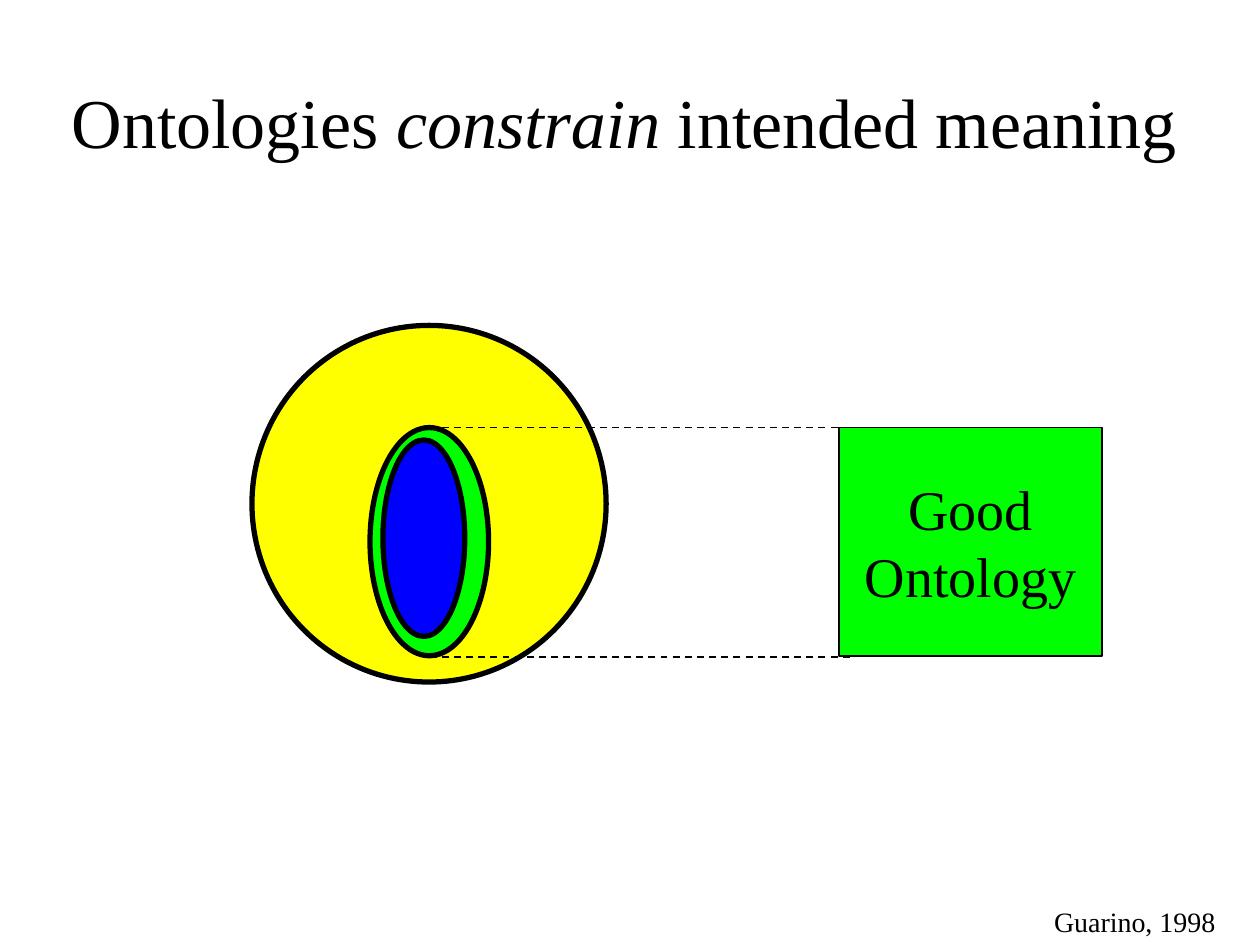
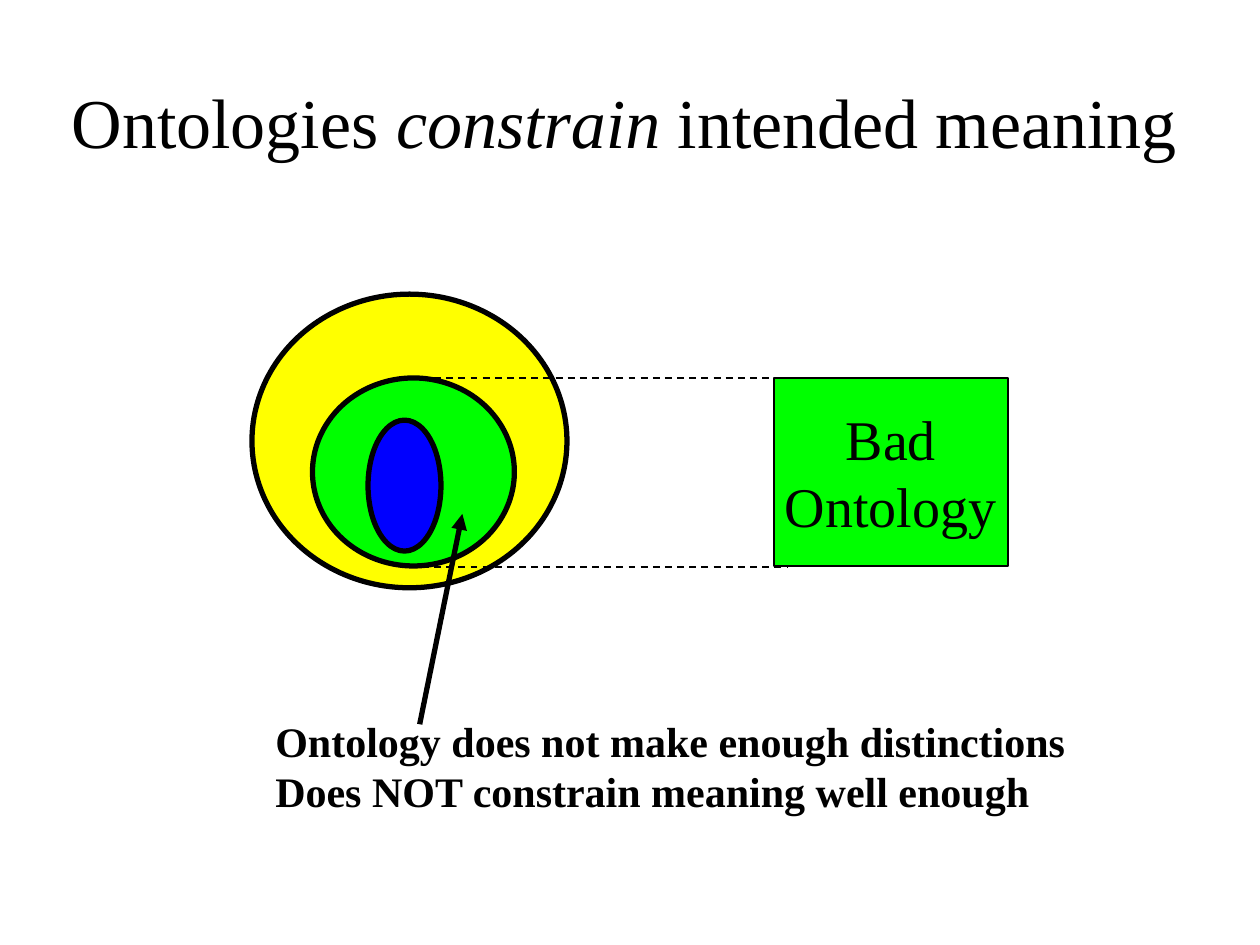
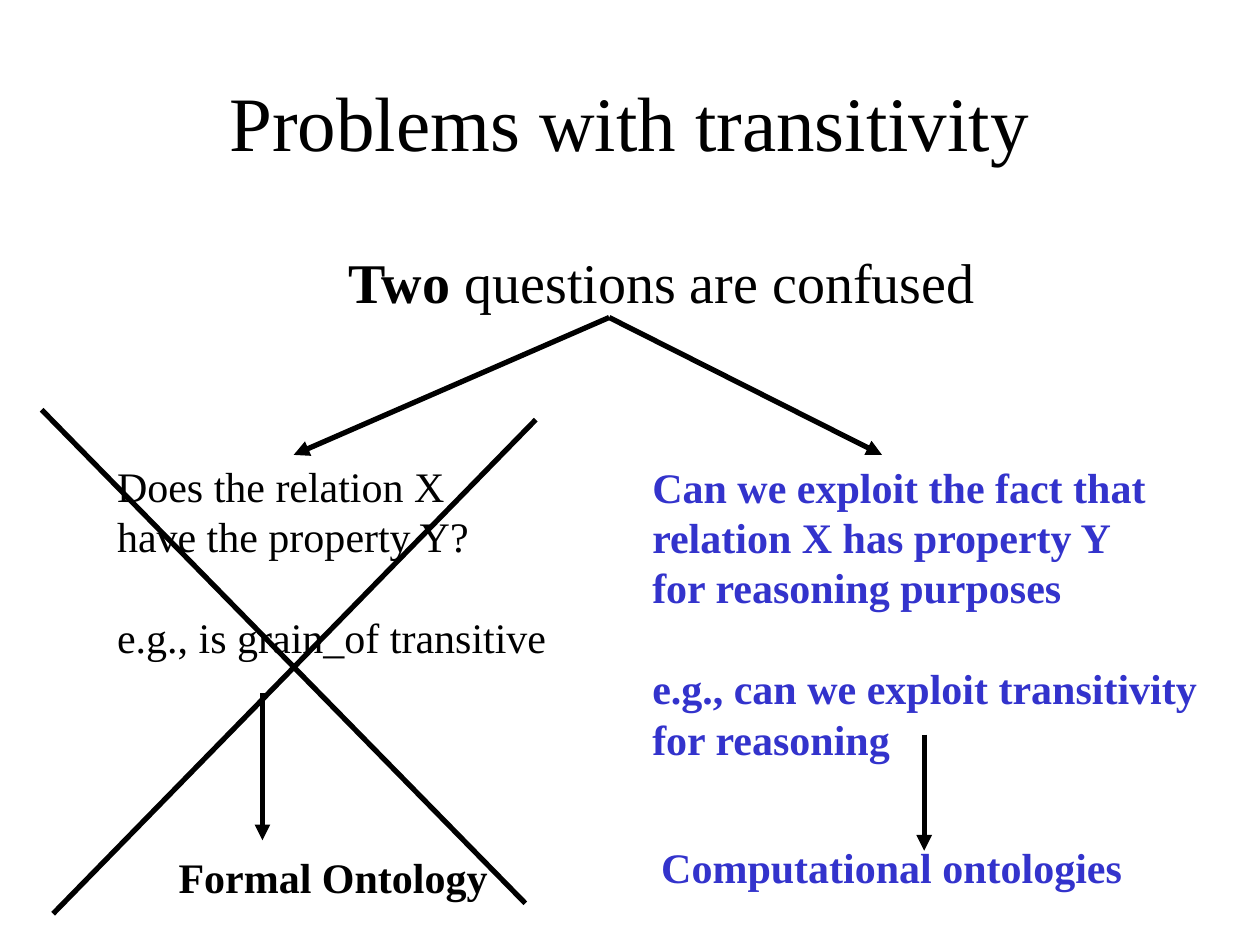
"""Build three slides on ontologies, intended meaning and transitivity."""
from pptx import Presentation
from pptx.dml.color import RGBColor
from pptx.enum.dml import MSO_LINE
from pptx.enum.shapes import MSO_CONNECTOR, MSO_SHAPE
from pptx.enum.text import MSO_ANCHOR, MSO_AUTO_SIZE, PP_ALIGN
from pptx.oxml.ns import qn
from pptx.util import Cm, Pt
from lxml.etree import SubElement

FONT = "Times New Roman"
BLACK, YELLOW, GREEN, BLUE, INDIGO = "000000", "FFFF00", "00FF00", "0000FF", "3333CC"
TITLE_ONLY = 5
BODY_SIZE = 24
LINE_GAP = 28.8
MEANING_TITLE = ("Ontologies ", "constrain", " intended meaning")


def rgb(value):
    return RGBColor.from_string(value)


def place(box):
    return [Cm(v) for v in box]


def format_paragraph(p, size, color=BLACK, bold=None, align=PP_ALIGN.LEFT):
    p.alignment = align
    p.font.name = FONT
    p.font.size = Pt(size)
    p.font.bold = bold
    p.font.color.rgb = rgb(color)


def add_runs(p, pieces):
    runs = []
    for piece in pieces:
        r = p.add_run()
        r.text = piece
        runs.append(r)
    return runs


def add_titled_slide(prs, pieces, size, left, width):
    s = prs.slides.add_slide(prs.slide_layouts[TITLE_ONLY])
    title = s.shapes.title
    title.left, title.top, title.width, title.height = place((left, 0.84, width, 3.18))
    tf = title.text_frame
    tf.auto_size = MSO_AUTO_SIZE.NONE
    tf.vertical_anchor = MSO_ANCHOR.MIDDLE
    p = tf.paragraphs[0]
    format_paragraph(p, size, align=PP_ALIGN.CENTER)
    return s, add_runs(p, pieces)


def add_text(s, box, lines, size=BODY_SIZE, color=BLACK, bold=None, gap_at=None):
    tf = s.shapes.add_textbox(*place(box)).text_frame
    tf.word_wrap = False
    tf.auto_size = MSO_AUTO_SIZE.SHAPE_TO_FIT_TEXT
    tf.text = "\n".join(lines)
    for i, p in enumerate(tf.paragraphs):
        format_paragraph(p, size, color, bold)
        if i == gap_at:
            p.space_before = Pt(LINE_GAP)
    return tf


def add_outlined(s, kind, box, fill, weight):
    sp = s.shapes.add_shape(kind, *place(box))
    sp.shadow.inherit = False
    sp.fill.solid()
    sp.fill.fore_color.rgb = rgb(fill)
    sp.line.color.rgb = rgb(BLACK)
    sp.line.width = Pt(weight)
    return sp


def add_line(s, start, end, weight=3, dashed=False, arrow=False):
    line = s.shapes.add_connector(MSO_CONNECTOR.STRAIGHT, *place(start + end))
    line.line.color.rgb = rgb(BLACK)
    line.line.width = Pt(weight)
    if dashed:
        line.line.dash_style = MSO_LINE.DASH
    sp_pr = line._element.spPr
    if arrow:
        SubElement(sp_pr.find(qn("a:ln")), qn("a:tailEnd"), type="triangle")
    SubElement(sp_pr, qn("a:effectLst"))


def add_meaning_slide(prs, domain, ontology, intended, guide_x, guide_y, box, label):
    s, runs = add_titled_slide(prs, MEANING_TITLE, 40, 0.2, 24.77)
    runs[1].font.italic = True
    for oval, fill in ((domain, YELLOW), (ontology, GREEN), (intended, BLUE)):
        add_outlined(s, MSO_SHAPE.OVAL, oval, fill, 3)
    for y in guide_y:
        add_line(s, (guide_x[0], y), (guide_x[1], y), weight=1, dashed=True)
    tf = add_outlined(s, MSO_SHAPE.RECTANGLE, box, GREEN, 1).text_frame
    tf.word_wrap = False
    tf.vertical_anchor = MSO_ANCHOR.MIDDLE
    tf.text = f"{label}\nOntology"
    for p in tf.paragraphs:
        format_paragraph(p, 32, align=PP_ALIGN.CENTER)
    return s


def add_good_ontology(prs):
    s = add_meaning_slide(
        prs,
        domain=(5.08, 6.56, 7.14, 7.19),
        ontology=(7.46, 8.62, 2.39, 4.6),
        intended=(7.72, 8.87, 1.65, 3.96),
        guide_x=(8.66, 17.22), guide_y=(8.62, 13.25),
        box=(16.91, 8.62, 5.31, 4.6), label="Good")
    add_text(s, (21, 18.12, 3.86, 0.94), ["Guarino, 1998"], size=16)


def add_bad_ontology(prs):
    s = add_meaning_slide(
        prs,
        domain=(5.08, 5.93, 6.35, 5.92),
        ontology=(6.3, 7.62, 4.07, 3.79),
        intended=(7.42, 8.47, 1.47, 2.64),
        guide_x=(8.26, 15.88), guide_y=(7.62, 11.43),
        box=(15.6, 7.62, 4.72, 3.79), label="Bad")
    add_text(s, (5.3, 14.3, 16.53, 2.29),
             ["Ontology does not make enough distinctions",
              "Does NOT constrain meaning well enough"], bold=True)
    add_line(s, (8.46, 14.6), (9.32, 10.36), arrow=True)


def add_transitivity(prs):
    s, _ = add_titled_slide(prs, ["Problems with transitivity"], 44, 1.9, 21.59)
    tf = add_text(s, (6.78, 4.87, 13.21, 1.63), [""], size=32)
    two, _ = add_runs(tf.paragraphs[0], ("Two", " questions are confused"))
    two.font.bold = True

    add_text(s, (2.11, 9.16, 9.3, 4.32),
             ["Does the relation X", "have the property Y?",
              "e.g., is grain_of transitive"], gap_at=2)
    add_text(s, (12.9, 9.17, 11.6, 6.35),
             ["Can we exploit the fact that", "relation X has property Y",
              "for reasoning purposes", "e.g., can we exploit transitivity",
              "for reasoning"], color=INDIGO, bold=True, gap_at=3)
    add_text(s, (3.35, 17.05, 6.9, 1.27), ["Formal Ontology"], bold=True)
    add_text(s, (13.08, 16.84, 9.9, 1.27), ["Computational ontologies"],
             color=INDIGO, bold=True)

    fork = (12.28, 6.4)
    for start, end in ((fork, (5.92, 9.17)), (fork, (17.78, 9.17)),
                       ((5.29, 13.97), (5.29, 16.94)),
                       ((18.63, 14.81), (18.63, 17.15))):
        add_line(s, start, end, arrow=True)
    add_line(s, (0.84, 8.26), (10.59, 18.21))
    add_line(s, (10.8, 8.46), (1.07, 18.42))


def main():
    prs = Presentation()
    prs.slide_width, prs.slide_height = Cm(25.4), Cm(19.05)
    add_good_ontology(prs)
    add_bad_ontology(prs)
    add_transitivity(prs)
    prs.save("out.pptx")


if __name__ == "__main__":
    main()
